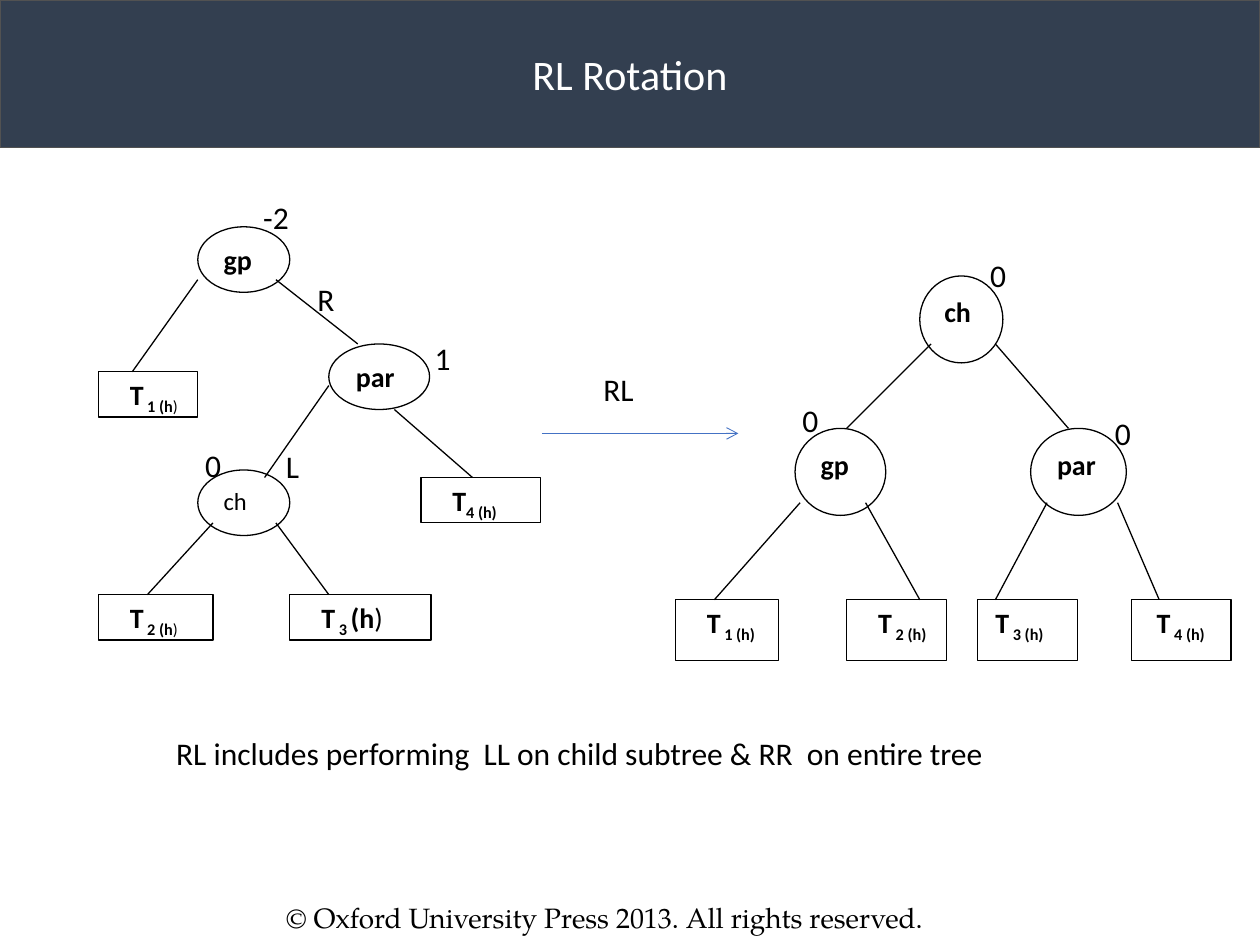
from lxml import etree
from pptx import Presentation
from pptx.dml.color import RGBColor
from pptx.enum.shapes import MSO_CONNECTOR as CONN, MSO_SHAPE as SHAPE
from pptx.enum.text import MSO_ANCHOR as ANCHOR, MSO_AUTO_SIZE as FIT, PP_ALIGN as ALIGN
from pptx.oxml.ns import qn
from pptx.util import Inches, Pt

BLACK = RGBColor(0x00, 0x00, 0x00)
WHITE = RGBColor(0xFF, 0xFF, 0xFF)
NAVY = RGBColor(0x33, 0x3F, 0x50)
GREY = RGBColor(0x52, 0x52, 0x52)
BLUE = RGBColor(0x44, 0x72, 0xC4)

WIDTH, HEIGHT = Inches(10), Inches(7.5)
COLS, ROWS = 100, 75


def col(n):
    """Return the length of n grid columns."""
    return int(WIDTH * n / COLS)


def row(n):
    """Return the length of n grid rows."""
    return int(HEIGHT * n / ROWS)


def place(x, y, w, h):
    """Turn a box in grid units into slide lengths."""
    return col(x), row(y), col(w), row(h)


def set_font(p, size, color=BLACK, bold=False, name="Calibri"):
    """Set the font of a whole paragraph."""
    p.font.name, p.font.size, p.font.bold = name, Pt(size), bold
    p.font.color.rgb = color


def add_text(s, text, box, size=18, wrap=False, name="Calibri"):
    """Add a one-line text box."""
    tf = s.shapes.add_textbox(*place(*box)).text_frame
    tf.word_wrap = wrap
    tf.auto_size = FIT.SHAPE_TO_FIT_TEXT
    p = tf.paragraphs[0]
    p.text = text
    set_font(p, size, name=name)


def add_box(s, kind, box, fill=WHITE, line=BLACK, width=0.75):
    """Add a flat preset shape with top-left text."""
    sp = s.shapes.add_shape(kind, *place(*box))
    sp.shadow.inherit = False
    sp.fill.solid()
    sp.fill.fore_color.rgb = fill
    sp.line.color.rgb = line
    sp.line.width = Pt(width)
    tf = sp.text_frame
    tf.word_wrap = True
    tf.vertical_anchor = ANCHOR.TOP
    tf.paragraphs[0].alignment = ALIGN.LEFT
    return sp


def add_line(s, start, end, color=BLACK, width=0.75):
    """Add a straight line without a shadow."""
    (x1, y1), (x2, y2) = start, end
    ln = s.shapes.add_connector(CONN.STRAIGHT, col(x1), row(y1), col(x2), row(y2))
    ln.line.color.rgb = color
    ln.line.width = Pt(width)
    etree.SubElement(ln._element.spPr, qn("a:effectLst"))
    return ln


def add_node(s, box, text, size=16, bold=True):
    """Add a tree node."""
    p = add_box(s, SHAPE.OVAL, box).text_frame.paragraphs[0]
    p.text = text
    p.space_after = Pt(10)
    set_font(p, size, bold=bold)


def add_leaf(s, box, indent, runs):
    """Add a subtree box whose T is followed by (text, bold, subscript) runs."""
    tf = add_box(s, SHAPE.RECTANGLE, box).text_frame
    tf.margin_left = col(1 + indent)
    p = tf.paragraphs[0]
    p.space_after = Pt(10)
    set_font(p, 16, bold=True)
    for text, bold, sub in [("T", True, False), *runs]:
        r = p.add_run()
        r.text = text
        if not bold:
            r.font.bold = False
        if sub:
            r.font._element.set("baseline", "-25000")


def add_tree(s, origin, nodes, leaves, edges, labels):
    """Draw a tree with its parts given relative to its origin."""
    ox, oy = origin
    for (x, y, w, h), *style in nodes:
        add_node(s, (ox + x, oy + y, w, h), *style)
    for (x, y, w, h), indent, runs in leaves:
        add_leaf(s, (ox + x, oy + y, w, h), indent, runs)
    for x1, y1, x2, y2 in edges:
        add_line(s, (ox + x1, oy + y1), (ox + x2, oy + y2))
    for text, x, y, w in labels:
        add_text(s, text, (ox + x, oy + y, w, 4))


def tree_before(s, origin):
    """Draw the unbalanced tree."""
    nodes = [((7.9, 2.8, 7.3, 5.2), "gp"),
             ((18.3, 12.1, 8, 5.2), "par"),
             ((7.9, 22.1, 7.3, 5.2), "ch", 14, False)]
    close = (")", False, True)
    leaves = [((0, 14.3, 7.9, 3.6), 1.5, [(" 1 (h", True, True), close]),
              ((25.6, 22.7, 9.5, 3.6), 1.5, [("4 (h)", True, True)]),
              ((0, 32, 9.1, 3.6), 1.5, [(" 2 (h", True, True), close]),
              ((15.2, 32, 11.2, 3.6), 1.5,
               [(" 3 ", True, True), ("(h", True, False), (")", False, False)])]
    edges = [(20.6, 12.1, 14.1, 7), (7.9, 7, 2.7, 14.3), (9.1, 26.3, 3.9, 32),
             (23.5, 17.3, 29.7, 22.7), (14.1, 26.3, 18.3, 32), (18.3, 15.4, 13.2, 22.7)]
    labels = [("-2", 12.1, 0, 4), ("R", 16.4, 6.5, 3.3), ("1", 25.7, 11.2, 3.2),
              ("L", 13.9, 19.8, 3), ("0", 7.5, 19.7, 3.2)]
    add_tree(s, origin, nodes, leaves, edges, labels)


def tree_after(s, origin):
    """Draw the balanced tree."""
    nodes = [((19.4, 2.1, 6.6, 6.9), "ch"),
             ((9.5, 14.2, 7.2, 6.9), "gp"),
             ((28.2, 14.2, 7.6, 6.9), "par")]
    spots = [(0, 8.2, 1.5), (13.6, 7.9, 1.5), (24, 7.9, 0.4), (36.2, 7.9, 1)]
    leaves = [((x, 27.8, w, 4.8), indent, [(f" {i} (h)", True, True)])
              for i, (x, w, indent) in enumerate(spots, 1)]
    edges = [(20.3, 7.5, 13.6, 14.2), (25.4, 7.5, 31.2, 14.2),
             (9.9, 20.1, 3.1, 27.8), (15.1, 20.1, 19.4, 27.8),
             (29.5, 20.1, 25.4, 27.8), (35.1, 20.1, 38.4, 27.8)]
    labels = [("0", x, y, 3.2) for x, y in [(24, 0), (9.1, 11.5), (33.9, 12.6)]]
    add_tree(s, origin, nodes, leaves, edges, labels)


def banner(s, box):
    """Draw the title bar."""
    sp = add_box(s, SHAPE.ROUNDED_RECTANGLE, box, NAVY, GREY, 1)
    sp.adjustments[0] = 0
    tf = sp.text_frame
    tf.vertical_anchor = ANCHOR.MIDDLE
    p = tf.paragraphs[0]
    p.text = "RL Rotation"
    p.alignment = ALIGN.CENTER
    set_font(p, 24, WHITE)


def rotation_arrow(s, box):
    """Draw the rotation label with the arrow along the bottom of its box."""
    x, y, w, h = box
    ln = add_line(s, (x, y + h), (x + w, y + h), BLUE, 0.5)
    etree.SubElement(ln.line._get_or_add_ln(), qn("a:tailEnd"), type="arrow")
    add_text(s, "RL", (x + w / 4, y, 4.4, 4))


def main():
    """Build the slide and save it."""
    prs = Presentation()
    prs.slide_width, prs.slide_height = WIDTH, HEIGHT
    s = prs.slides.add_slide(prs.slide_layouts[6])
    add_text(s, "© Oxford University Press 2013. All rights reserved.",
             (21.7, 71, 57.5, 3.7), 16, True, "TeX Gyre Pagella")
    tree_before(s, (7.8, 15.2))
    tree_after(s, (53.6, 19.8))
    add_text(s, "RL includes performing  LL on child subtree & RR  on entire tree",
             (13, 57.8, 73.7, 4), wrap=True)
    banner(s, (0, 0, COLS, 11.7))
    rotation_arrow(s, (43, 28.9, 15.6, 5.5))
    prs.save("out.pptx")


if __name__ == "__main__":
    main()
